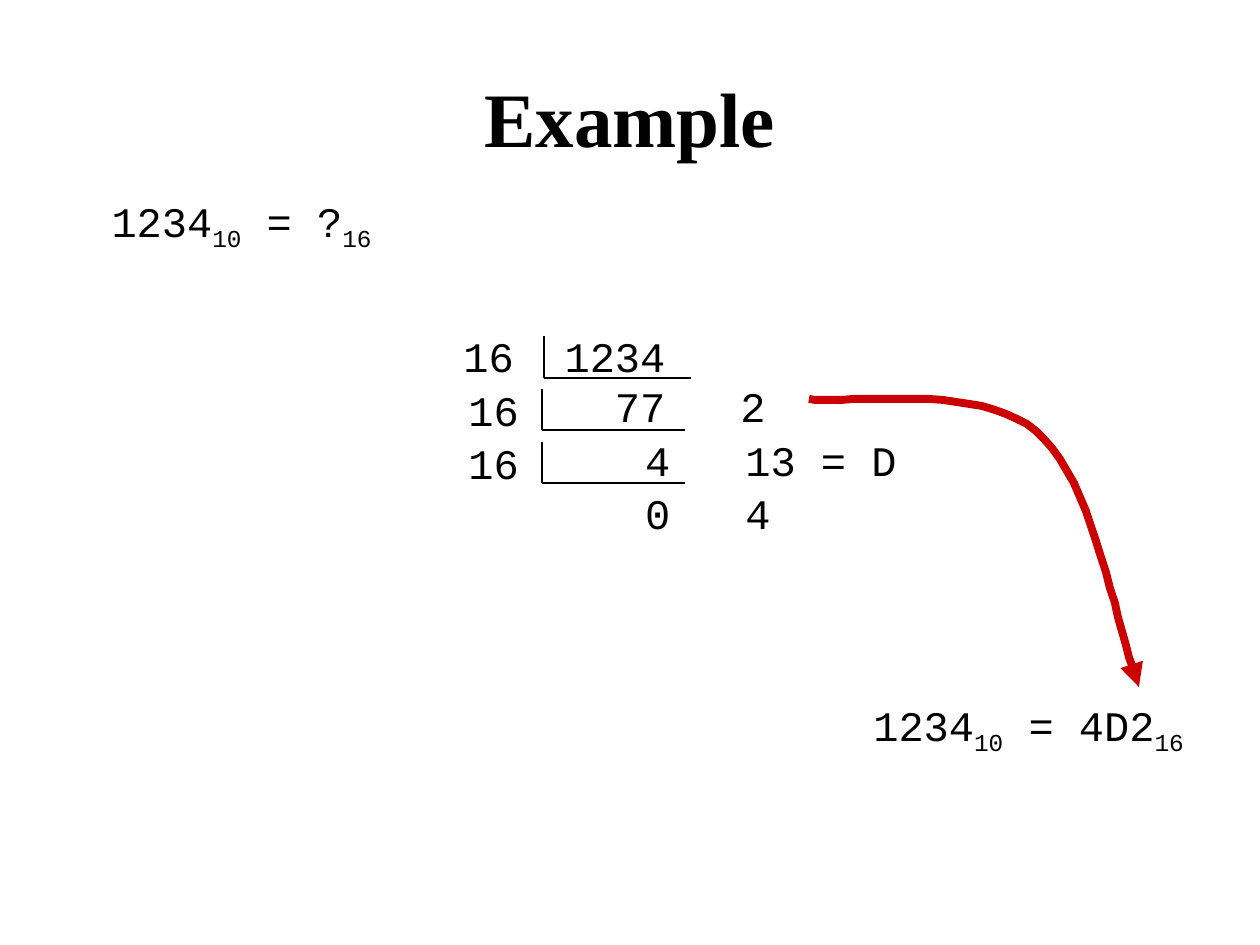
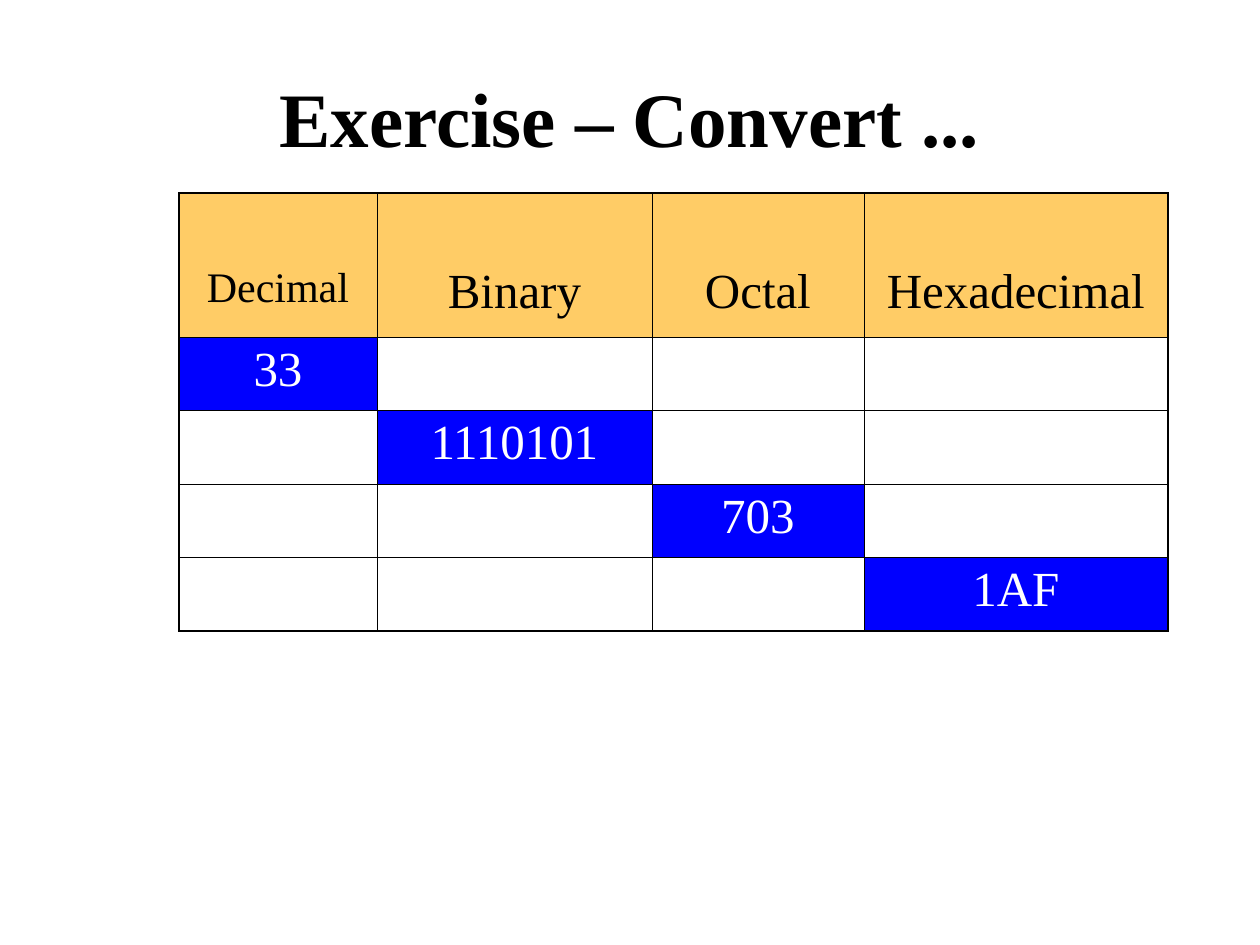
from dataclasses import dataclass

from lxml import etree
from pptx import Presentation
from pptx.dml.color import RGBColor
from pptx.enum.shapes import MSO_CONNECTOR
from pptx.enum.text import MSO_ANCHOR, PP_ALIGN
from pptx.oxml import parse_xml
from pptx.oxml.ns import nsdecls, qn
from pptx.util import Emu, Pt

CENTER, LEFT = PP_ALIGN.CENTER, PP_ALIGN.LEFT
MIDDLE, TOP = MSO_ANCHOR.MIDDLE, MSO_ANCHOR.TOP
STRAIGHT = MSO_CONNECTOR.STRAIGHT
SCALE = 914400 / 126


@dataclass(frozen=True)
class Theme:
    serif: str = "Times New Roman"
    mono: str = "Courier New"
    ink: str = "000000"
    paper: str = "FFFFFF"
    arrow: str = "CC0000"
    head: str = "FFCC66"
    given: str = "0000FF"
    title: int = 44
    code: int = 24
    cell: int = 28
    rule: float = 1.5
    curve: float = 4.5
    inner: float = 0.45
    outer: float = 1.08


T = Theme()

# Slide 1: equations as (box, runs); a run is (text, is subscript)
TITLES = ("Example", "Exercise – Convert ...")
TITLE_BOX = (63, 38, 1134, 158)
SUMS = [
    ((42, 189, 399, 70), [("1234", 0), ("10", 1), (" = ?", 0), ("16", 1)]),
    ((829, 693, 399, 70), [("1234", 0), ("10", 1), (" = 4D2", 0), ("16", 1)]),
]
# Each division step: text box, its lines, and its bracket (left, top, right, bottom)
STEPS = [
    ((451, 324, 340, 113), ["16\t1234", "\t77\t2"], (544, 336, 691, 378)),
    ((456, 378, 489, 113), ["16", "\t4\t13 = D"], (542, 389, 685, 430)),
    ((456, 431, 489, 113), ["16", "\t0\t4"], (542, 442, 685, 483)),
]
STOPS = [(202, "r"), (277, "l")]
CURVE = [
    [(809, 399), (847, 404), (980, 383), (1036, 431)],
    [(1036, 431), (1094, 478), (1118, 634), (1139, 687)],
]

# Slide 2: each base is (name, name size, given value, column width)
BASES = [
    ("Decimal", T.code, "33", 198),
    ("Binary", T.cell, "1110101", 275),
    ("Octal", T.cell, "703", 212),
    ("Hexadecimal", T.cell, "1AF", 304),
]
GRID = (179, 193)
ROWS = [144, 73, 74, 73, 74]
HEAD_PAD = 72


def px(n):
    return Emu(round(n * SCALE))


def rgb(code):
    return RGBColor.from_string(code)


def add_run(para, text, size, face, color=T.ink, bold=False):
    run = para.add_run()
    run.text = text
    font = run.font
    font.size, font.name, font.bold = Pt(size), face, bold
    font.color.rgb = rgb(color)
    return run


def add_box(slide, box):
    frame = slide.shapes.add_textbox(*map(px, box)).text_frame
    frame.word_wrap = True
    frame.vertical_anchor = TOP
    return frame


def add_page(deck, title):
    slide = deck.slides.add_slide(deck.slide_layouts[5])
    shape = slide.shapes.title
    shape.left, shape.top, shape.width, shape.height = map(px, TITLE_BOX)
    frame = shape.text_frame
    frame.vertical_anchor = MIDDLE
    para = frame.paragraphs[0]
    para.alignment = CENTER
    add_run(para, title, T.title, T.serif, bold=True)
    return slide


def add_sum(slide, box, runs):
    para = add_box(slide, box).paragraphs[0]
    para.alignment = CENTER
    for text, sub in runs:
        run = add_run(para, text, T.code, T.mono)
        if sub:
            run.font._element.set("baseline", "-25000")


def add_rule(slide, x1, y1, x2, y2):
    line = slide.shapes.add_connector(STRAIGHT, *map(px, (x1, y1, x2, y2)))
    line.line.color.rgb = rgb(T.ink)
    line.line.width = Pt(T.rule)
    etree.SubElement(line._element.spPr, qn("a:effectLst"))


def add_step(slide, box, lines, mark):
    frame = add_box(slide, box)
    for i, text in enumerate(lines):
        para = frame.add_paragraph() if i else frame.paragraphs[0]
        para.alignment = LEFT
        tabs = etree.SubElement(para._p.get_or_add_pPr(), qn("a:tabLst"))
        for stop, side in STOPS:
            etree.SubElement(tabs, qn("a:tab"), pos=str(px(stop)), algn=side)
        add_run(para, text, T.code, T.mono)
    left, top, right, base = mark
    add_rule(slide, left, top, left, base)
    add_rule(slide, left, base, right, base)


def bend(ends, t):
    """Point at share t along a cubic curve."""
    u = 1 - t
    parts = (u ** 3, 3 * u * u * t, 3 * u * t * t, t ** 3)
    return tuple(sum(w * p[k] for w, p in zip(parts, ends)) for k in (0, 1))


def add_curve(slide, steps=20):
    dots = [bend(seg, n / steps) for seg in CURVE for n in range(1, steps + 1)]
    pen = slide.shapes.build_freeform(*CURVE[0][0], scale=SCALE)
    pen.add_line_segments(dots, close=False)
    shape = pen.convert_to_shape()
    shape.shadow.inherit = False
    shape.fill.background()
    shape.line.color.rgb = rgb(T.arrow)
    shape.line.width = Pt(T.curve)
    etree.SubElement(shape.line._get_or_add_ln(), qn("a:tailEnd"), type="triangle")


def edge(cell, row, col):
    """Draw the four borders, heavier on the rim of the table."""
    rims = {"L": col == 0, "R": col == len(BASES) - 1,
            "T": row == 0, "B": row == len(ROWS) - 1}
    for i, (side, rim) in enumerate(rims.items()):
        width = Pt(T.outer if rim else T.inner)
        cell._tc.get_or_add_tcPr().insert(i, parse_xml(
            f'<a:ln{side} {nsdecls("a")} w="{width}"><a:solidFill>'
            f'<a:srgbClr val="{T.ink}"/></a:solidFill></a:ln{side}>'))


def fill_cell(cell, text, size, color, back):
    cell.fill.solid()
    cell.fill.fore_color.rgb = rgb(back)
    para = cell.text_frame.paragraphs[0]
    para.alignment = CENTER
    add_run(para, text, size, T.serif, color)


def add_grid(slide):
    widths = [base[3] for base in BASES]
    area = (*GRID, sum(widths), sum(ROWS))
    table = slide.shapes.add_table(len(ROWS), len(BASES), *map(px, area)).table
    table.first_row = table.horz_banding = False
    for row, high in zip(table.rows, ROWS):
        row.height = px(high)
    for col, (name, size, value, wide) in enumerate(BASES):
        table.columns[col].width = px(wide)
        for row in range(len(ROWS)):
            cell = table.cell(row, col)
            if row == 0:
                cell.margin_top = px(HEAD_PAD)
                fill_cell(cell, name, size, T.ink, T.head)
            elif row == col + 1:
                fill_cell(cell, value, T.cell, T.paper, T.given)
            else:
                cell.fill.background()
            edge(cell, row, col)


def main():
    deck = Presentation()
    deck.slide_width, deck.slide_height = px(1260), px(945)
    first, second = [add_page(deck, title) for title in TITLES]
    for box, runs in SUMS:
        add_sum(first, box, runs)
    add_curve(first)
    for step in STEPS:
        add_step(first, *step)
    add_grid(second)
    deck.save("out.pptx")


if __name__ == "__main__":
    main()
